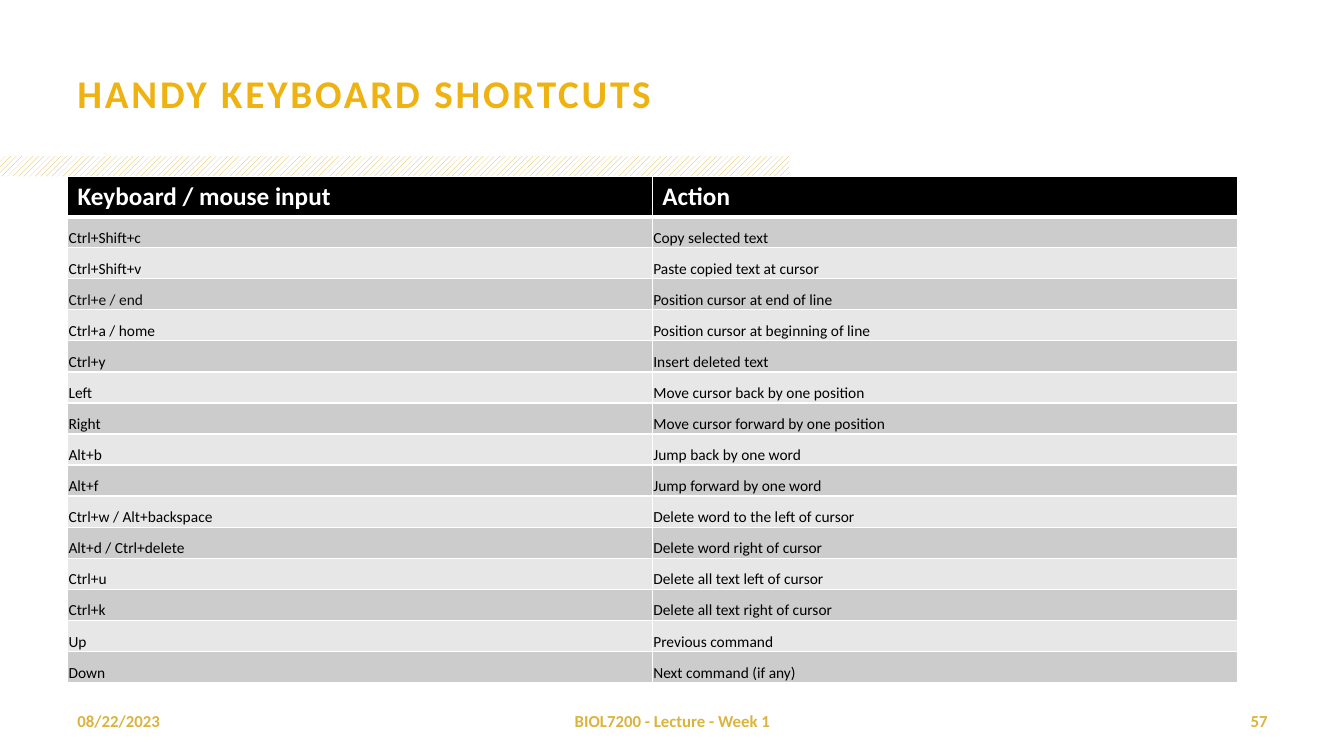
"""Build a slide with a two-column table of keyboard shortcuts."""
from lxml.etree import SubElement
from pptx import Presentation
from pptx.dml.color import RGBColor
from pptx.enum.dml import MSO_PATTERN
from pptx.enum.shapes import MSO_SHAPE
from pptx.enum.text import MSO_ANCHOR as Anchor, PP_ALIGN as Align
from pptx.oxml.ns import qn
from pptx.util import Inches, Pt

FONT = "Calibri"
TITLE_GOLD = RGBColor(0xEE, 0xB2, 0x11)
GOLD = RGBColor(0xDA, 0xB4, 0x3D)
WHITE = RGBColor(0xFF, 0xFF, 0xFF)
BLACK = RGBColor(0x00, 0x00, 0x00)
NEAR_BLACK = RGBColor(0x0D, 0x0D, 0x0D)
DARK_BAND = RGBColor(0xCC, 0xCC, 0xCC)
LIGHT_BAND = RGBColor(0xE7, 0xE7, 0xE7)

MARGIN = 0.67
COLUMN_WIDTH = 5.8
HEADER_HEIGHT = 0.39
ROW_HEIGHT = 0.308

SHORTCUTS = [
    ("Keyboard / mouse input", "Action"),
    ("Ctrl+Shift+c", "Copy selected text"),
    ("Ctrl+Shift+v", "Paste copied text at cursor"),
    ("Ctrl+e / end", "Position cursor at end of line"),
    ("Ctrl+a / home", "Position cursor at beginning of line"),
    ("Ctrl+y", "Insert deleted text"),
    ("Left", "Move cursor back by one position"),
    ("Right", "Move cursor forward by one position"),
    ("Alt+b", "Jump back by one word"),
    ("Alt+f", "Jump forward by one word"),
    ("Ctrl+w / Alt+backspace", "Delete word to the left of cursor"),
    ("Alt+d / Ctrl+delete", "Delete word right of cursor"),
    ("Ctrl+u", "Delete all text left of cursor"),
    ("Ctrl+k", "Delete all text right of cursor"),
    ("Up", "Previous command"),
    ("Down", "Next command (if any)"),
]


def write(text_frame, text, size, color, bold, align=Align.LEFT):
    text_frame.text = text
    paragraph = text_frame.paragraphs[0]
    paragraph.alignment = align
    run = paragraph.runs[0]
    run.font.name = FONT
    run.font.size = Pt(size)
    run.font.bold = bold
    run.font.color.rgb = color
    return run


def add_border(cell, side, width):
    line = SubElement(cell._tc.get_or_add_tcPr(), qn(f"a:ln{side}"), w=str(Pt(width)))
    fill = SubElement(line, qn("a:solidFill"))
    SubElement(fill, qn("a:srgbClr"), val=str(WHITE))


presentation = Presentation()
presentation.slide_width = Inches(13.33)
presentation.slide_height = Inches(7.5)
slide = presentation.slides.add_slide(presentation.slide_layouts[6])

stripe = slide.shapes.add_shape(
    MSO_SHAPE.RECTANGLE, 0, Inches(1.55), Inches(7.83), Inches(0.2))
stripe.shadow.inherit = False
stripe.fill.patterned()
stripe.fill.pattern = MSO_PATTERN.WIDE_UPWARD_DIAGONAL
stripe.fill.fore_color.rgb = GOLD
stripe.fill.back_color.rgb = WHITE
stripe.line.fill.background()

for text, left, top, width, height, size, color, align, spacing in [
    ("HANDY KEYBOARD SHORTCUTS", MARGIN, 0.3, 12, 1.25, 28, TITLE_GOLD, Align.LEFT, 200),
    ("08/22/2023", MARGIN, 6.95, 3.11, 0.4, 12, GOLD, Align.LEFT, 0),
    ("BIOL7200 - Lecture - Week 1", 4.56, 6.95, 4.22, 0.4, 12, GOLD, Align.CENTER, 0),
    ("57", 9.56, 6.95, 3.11, 0.4, 12, GOLD, Align.RIGHT, 0),
]:
    box = slide.shapes.add_textbox(Inches(left), Inches(top), Inches(width), Inches(height))
    box.text_frame.word_wrap = True
    box.text_frame.vertical_anchor = Anchor.MIDDLE
    run = write(box.text_frame, text, size, color, True, align)
    run._r.get_or_add_rPr().set("spc", str(spacing))

table = slide.shapes.add_table(
    len(SHORTCUTS), 2, Inches(MARGIN), Inches(1.75), Inches(2 * COLUMN_WIDTH),
    Inches(HEADER_HEIGHT + ROW_HEIGHT * (len(SHORTCUTS) - 1))).table
for column in table.columns:
    column.width = Inches(COLUMN_WIDTH)

for row_index, texts in enumerate(SHORTCUTS):
    is_header = row_index == 0
    table.rows[row_index].height = Inches(HEADER_HEIGHT if is_header else ROW_HEIGHT)
    for column_index, text in enumerate(texts):
        cell = table.cell(row_index, column_index)
        add_border(cell, "L", 1)
        add_border(cell, "R", 1)
        add_border(cell, "T", 3 if row_index == 1 else 1)
        add_border(cell, "B", 3 if is_header else 1)
        cell.fill.solid()
        if is_header:
            cell.fill.fore_color.rgb = BLACK
            write(cell.text_frame, text, 18, WHITE, True)
        else:
            cell.fill.fore_color.rgb = DARK_BAND if row_index % 2 else LIGHT_BAND
            cell.vertical_anchor = Anchor.BOTTOM
            cell.margin_left = cell.margin_right = cell.margin_top = Inches(0.01)
            cell.margin_bottom = 0
            color = NEAR_BLACK if text == "Ctrl+e / end" else BLACK
            write(cell.text_frame, text, 11, color, False)

presentation.save("out.pptx")
